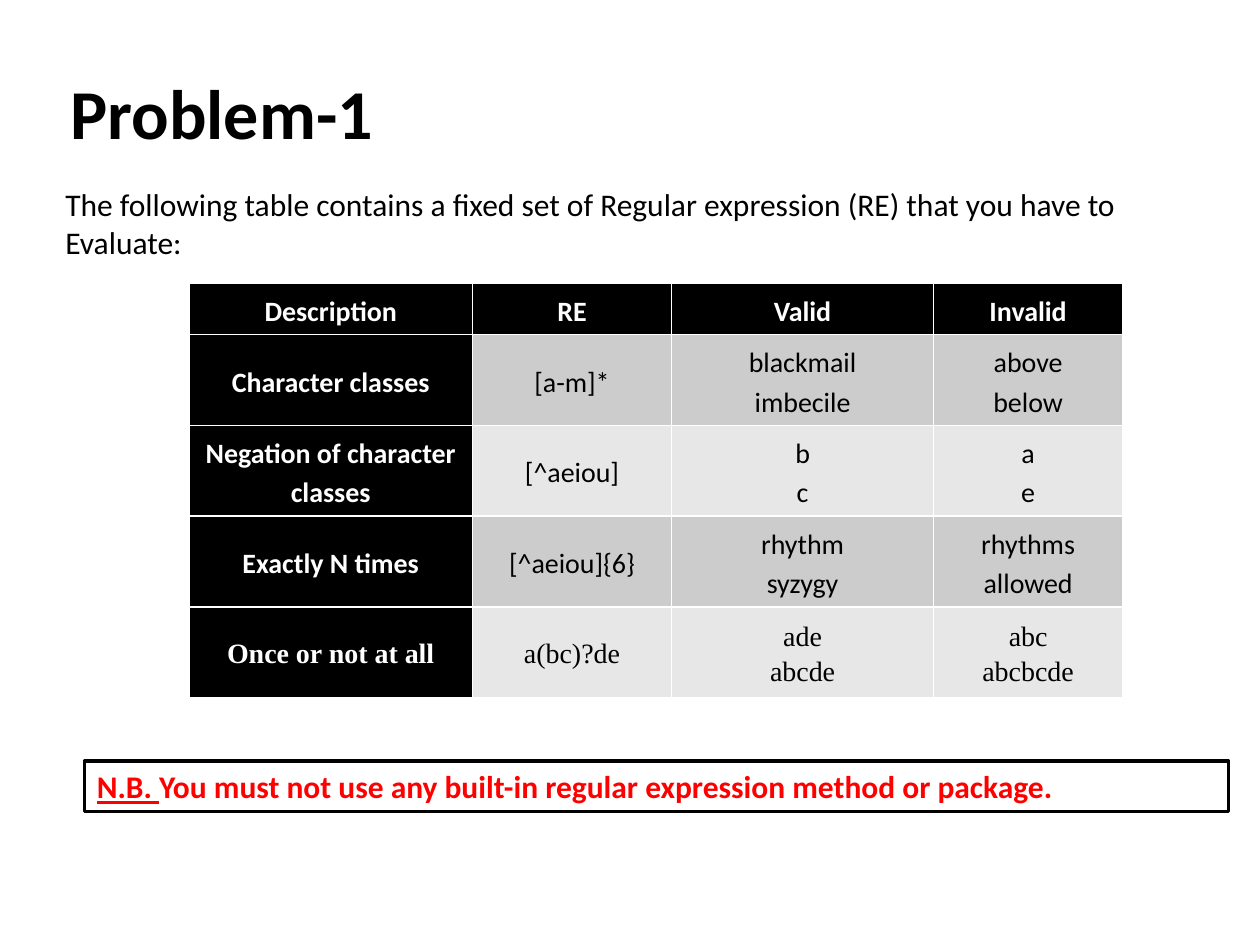
from copy import deepcopy

from pptx import Presentation, util as u
from pptx.dml.color import RGBColor
from pptx.enum import shapes, text

BLACK, WHITE, RED = "000000", "FFFFFF", "FF0000"
BANDS = ("CCCCCC", "E7E7E7")
WIDTHS = (2.25, 1.58, 2.08, 1.5)
HEIGHTS = (0.4,) + (0.72,) * 4
ROWS = (
    ("Description", "RE", "Valid", "Invalid"),
    ("Character classes", "[a-m]*", "blackmail\nimbecile", "above\nbelow"),
    ("Negation of character classes", "[^aeiou]", "b\nc", "a\ne"),
    ("Exactly N times", "[^aeiou]{6}", "rhythm\nsyzygy", "rhythms\nallowed"),
    ("Once or not at all", "a(bc)?de", "ade\nabcde", "abc\nabcbcde"),
)


def paint(fmt, color):
    """Give a fill one solid colour."""
    fmt.solid()
    fmt.fore_color.rgb = RGBColor.from_string(color)


def style(para, size, color=BLACK, bold=False, face="Calibri"):
    """Format all runs of a paragraph, and its line breaks alike."""
    for run in para.runs:
        font = run.font
        font.name, font.size, font.bold = face, u.Pt(size), bold
        font.color.rgb = RGBColor.from_string(color)
    for brk in para._p.findall("{*}br"):
        brk.append(deepcopy(para.runs[0].font._element))


def place(shape, *box):
    shape.left, shape.top, shape.width, shape.height = map(u.Inches, box)


def add_title(slide, words):
    title = slide.shapes.title
    place(title, 0.46, 0.5, 2.63, 0.77)
    frame = title.text_frame
    frame.text = words
    frame.word_wrap = False
    frame.vertical_anchor = text.MSO_ANCHOR.TOP
    para = frame.paragraphs[0]
    para.alignment = text.PP_ALIGN.LEFT
    style(para, 40, bold=True)


def add_intro(slide, words):
    box = slide.shapes.add_textbox(*map(u.Inches, (0.42, 1.42, 9.08, 0.7)))
    box.text_frame.word_wrap = True
    box.text_frame.text = words
    style(box.text_frame.paragraphs[0], 18)


def fill_cell(cell, words, head, band, face):
    cell.vertical_anchor = text.MSO_ANCHOR.MIDDLE
    cell.margin_left = cell.margin_right = u.Inches(0.05)
    cell.margin_top = cell.margin_bottom = u.Inches(0.05)
    paint(cell.fill, BLACK if head else band)
    para = cell.text_frame.paragraphs[0]
    para.text = words
    para.alignment = text.PP_ALIGN.CENTER
    para.line_spacing = 1.15
    style(para, 16, WHITE if head else BLACK, head, face)


def add_grid(slide):
    box = map(u.Inches, (1.5, 2.25, sum(WIDTHS), sum(HEIGHTS)))
    table = slide.shapes.add_table(len(ROWS), len(WIDTHS), *box).table
    table.first_col = True
    for col, width in zip(table.columns, WIDTHS):
        col.width = u.Inches(width)
    for r, (row, height) in enumerate(zip(ROWS, HEIGHTS)):
        table.rows[r].height = u.Inches(height)
        # The last row is set in a serif face
        face = "Times New Roman" if r == len(ROWS) - 1 else "Calibri"
        for c, words in enumerate(row):
            head = r == 0 or c == 0
            fill_cell(table.cell(r, c), words, head, BANDS[(r - 1) % 2], face)


def add_note(slide, label, words):
    box = map(u.Inches, (0.67, 6.04, 9.08, 0.4))
    note = slide.shapes.add_shape(shapes.MSO_SHAPE.RECTANGLE, *box)
    note.shadow.inherit = False
    paint(note.fill, WHITE)
    paint(note.line.fill, BLACK)
    note.line.width = u.Pt(2)
    para = note.text_frame.paragraphs[0]
    para.alignment = text.PP_ALIGN.LEFT
    for part in (label, words):
        para.add_run().text = part
    style(para, 18, RED, bold=True)
    para.runs[0].font.underline = True


def main():
    deck = Presentation()
    deck.slide_width, deck.slide_height = u.Inches(10), u.Inches(7.5)
    slide = deck.slides.add_slide(deck.slide_layouts[5])
    # Heading and introduction
    add_title(slide, "Problem-1")
    add_intro(slide, "The following table contains a fixed set of Regular "
                     "expression (RE) that you have to Evaluate:")
    # Expressions, then the warning
    add_grid(slide)
    add_note(slide, "N.B. ", "You must not use any built-in regular "
                             "expression method or package.")
    deck.save("out.pptx")


if __name__ == "__main__":
    main()
